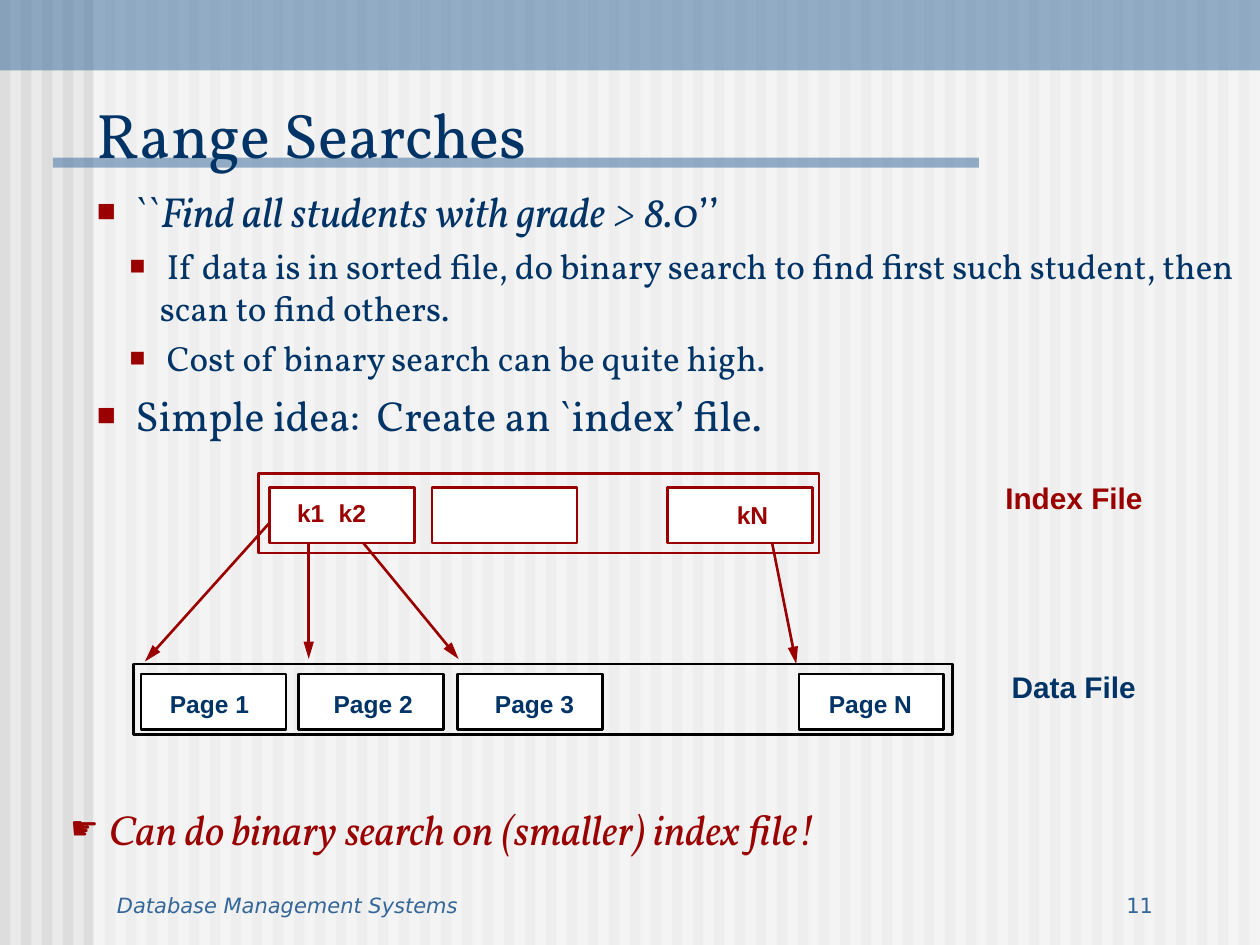
from lxml import etree
from pptx import Presentation
from pptx.dml.color import RGBColor
from pptx.enum.shapes import MSO_CONNECTOR, MSO_SHAPE
from pptx.enum.text import MSO_ANCHOR, MSO_AUTO_SIZE, PP_ALIGN
from pptx.oxml.ns import qn
from pptx.util import Inches, Pt

RECT = MSO_SHAPE.RECTANGLE
STRAIGHT = MSO_CONNECTOR.STRAIGHT
TOP, BOTTOM = MSO_ANCHOR.TOP, MSO_ANCHOR.BOTTOM
LEFT, RIGHT = PP_ALIGN.LEFT, PP_ALIGN.RIGHT
FIT_SHAPE = MSO_AUTO_SIZE.SHAPE_TO_FIT_TEXT

# The slide is a grid of 100 columns by 75 rows
COLUMNS, ROWS = 100, 75
CELL = Inches(0.1)

COLORS = {
    "ground": "EAEAEA", "stripe": "DDDDDD", "white": "FFFFFF", "blue": "336699",
    "navy": "003366", "red": "9A0000", "black": "000000",
}
SERIF, LABEL, FOOTER = "Vollkorn", "Arial", "DejaVu Sans"
BOX_WIDTH, BOX_HEIGHT = 11.5, 4.4


def grid(*cells):
    return [round(cell * CELL) for cell in cells]


def rgb(name):
    return RGBColor.from_string(COLORS[name])


def add_rect(slide, area, fill=None, line=None, alpha=None):
    rect = slide.shapes.add_shape(RECT, *grid(*area))
    rect.shadow.inherit = False
    if fill:
        rect.fill.solid()
        rect.fill.fore_color.rgb = rgb(fill)
    else:
        rect.fill.background()
    if alpha:
        color = rect.fill._xPr.find(".//" + qn("a:srgbClr"))
        etree.SubElement(color, qn("a:alpha"), val=str(alpha * 1000))
    if line:
        rect.line.color.rgb = rgb(line)
        rect.line.width = Pt(1.5)
    else:
        rect.line.fill.background()


def add_arrow(slide, start, end):
    arrow = slide.shapes.add_connector(STRAIGHT, *grid(*start, *end))
    arrow.line.color.rgb = rgb("red")
    arrow.line.width = Pt(1.5)
    etree.SubElement(arrow.line._get_or_add_ln(), qn("a:tailEnd"),
                     type="triangle", w="med", len="lg")
    etree.SubElement(arrow._element.spPr, qn("a:effectLst"))


def add_frame(slide, area, anchor=TOP, wrap=True):
    frame = slide.shapes.add_textbox(*grid(*area)).text_frame
    frame.word_wrap = wrap
    frame.vertical_anchor = anchor
    return frame


def add_run(paragraph, text, size, font, color, bold=None, italic=None):
    run = paragraph.add_run()
    run.text = text
    run.font.size = Pt(size)
    run.font.name = font
    run.font.color.rgb = rgb(color)
    run.font.bold = bold
    run.font.italic = italic


def add_bullet(paragraph, mark, font, margin=0.24):
    props = paragraph._p.get_or_add_pPr()
    props.set("marL", str(Inches(margin)))
    props.set("indent", str(-Inches(0.24)))
    color = etree.SubElement(props, qn("a:buClr"))
    etree.SubElement(color, qn("a:srgbClr"), val=COLORS["red"])
    etree.SubElement(props, qn("a:buSzPct"), val="75000")
    etree.SubElement(props, qn("a:buFont"), typeface=font)
    etree.SubElement(props, qn("a:buChar"), char=mark)


def add_label(slide, area, text, color, size=14):
    frame = add_frame(slide, area, wrap=False)
    frame.auto_size = FIT_SHAPE
    add_run(frame.paragraphs[0], text, size, LABEL, color, bold=True)


def add_backdrop(slide):
    slide.background.fill.solid()
    slide.background.fill.fore_color.rgb = rgb("ground")
    pitch = COLUMNS / 60
    for index in range(60):
        add_rect(slide, (index * pitch, 0, pitch / 2, ROWS), "stripe")
    add_rect(slide, (7.4, 0, COLUMNS - 7.4, ROWS), "white", alpha=50)
    add_rect(slide, (0, 0, COLUMNS, 5.6), "blue", alpha=50)
    add_rect(slide, (4.2, 12.5, 73.5, 0.8), "blue", alpha=50)


def add_footer(slide):
    for area, text, align, italic in (
        ((8.3, 68.3, 57.5, 5), "Database Management Systems", LEFT, True),
        ((71.7, 68.3, 20.8, 5), "11", RIGHT, None),
    ):
        paragraph = add_frame(slide, area, BOTTOM).paragraphs[0]
        paragraph.alignment = align
        add_run(paragraph, text, 12, FOOTER, "blue", italic=italic)


def add_points(slide):
    # Each point: level, then its runs as (text, italic)
    points = (
        (0, ((" ``", None), ("Find all students with grade > 8.0", True), ("’’", None))),
        (1, ((" If data is in sorted file, do binary search to find first such "
              "student, then scan to find others.", None),)),
        (1, ((" Cost of binary search can be quite high.", None),)),
        (0, ((" Simple idea:  Create an `index’ file.", None),)),
    )
    frame = add_frame(slide, (6.7, 14.2, 92.5, 21.7))
    for index, (level, runs) in enumerate(points):
        paragraph = frame.add_paragraph() if index else frame.paragraphs[0]
        paragraph.level = level
        add_bullet(paragraph, "■", LABEL, 0.5 if level else 0.24)
        if index:
            paragraph.space_before = Pt(5 if level else 6)
        for text, italic in runs:
            add_run(paragraph, text, 20 if level else 24, SERIF, "navy", italic=italic)


def add_data_file(slide):
    # Each page: box column, label column, label
    pages = ((11.2, 12.5, "Page 1"), (23.7, 25.5, "Page 2"),
             (36.3, 38.3, "Page 3"), (63.4, 64.8, "Page N"))
    add_rect(slide, (10.6, 52.7, 65, 5.6), line="black")
    for box_left, label_left, text in pages:
        add_rect(slide, (box_left, 53.5, BOX_WIDTH, BOX_HEIGHT), "white", "black")
        add_label(slide, (label_left, 54.2, 9, 3.3), text, "navy")
    add_label(slide, (79.3, 52.6, 12.5, 3.8), "Data File", "navy", 17)


def add_index_file(slide):
    add_rect(slide, (20.5, 37.6, 44.5, 6.3), line="red")
    for box_left in (21.4, 34.3, 53):
        add_rect(slide, (box_left, 38.7, BOX_WIDTH, BOX_HEIGHT), "white", "red")
    for label_left, label_top, key in ((22.6, 39, "k1"), (25.9, 39, "k2"), (57.5, 39.2, "kN")):
        add_label(slide, (label_left, label_top, 5, 3.3), key, "red")
    add_label(slide, (78.8, 37.6, 13.5, 3.8), "Index File", "red", 17)


def add_pointers(slide):
    for key_end, page_end in (
        ((22.2, 40.6), (11.5, 52.5)),
        ((24.5, 42), (24.5, 52.3)),
        ((28.1, 42.2), (36.4, 52.3)),
        ((61.1, 42.2), (63.2, 52.7)),
    ):
        add_arrow(slide, key_end, page_end)


def main():
    deck = Presentation()
    deck.slide_width, deck.slide_height = grid(COLUMNS, ROWS)
    slide = deck.slides.add_slide(deck.slide_layouts[6])

    add_backdrop(slide)
    add_footer(slide)

    # Title and points
    title = add_frame(slide, (6.7, 5.8, 84, 8.3), BOTTOM)
    add_run(title.paragraphs[0], "Range Searches", 36, SERIF, "navy")
    add_points(slide)

    # Index diagram: the index boxes cover the starts of the pointers
    add_data_file(slide)
    add_pointers(slide)
    add_index_file(slide)

    # Conclusion
    conclusion = add_frame(slide, (4.6, 63.3, 73.2, 5)).paragraphs[0]
    add_bullet(conclusion, "☛", FOOTER)
    add_run(conclusion, " ", 24, SERIF, "red")
    add_run(conclusion, "Can do binary search on (smaller) index file!", 24, SERIF, "red",
            italic=True)

    deck.save("out.pptx")


if __name__ == "__main__":
    main()
